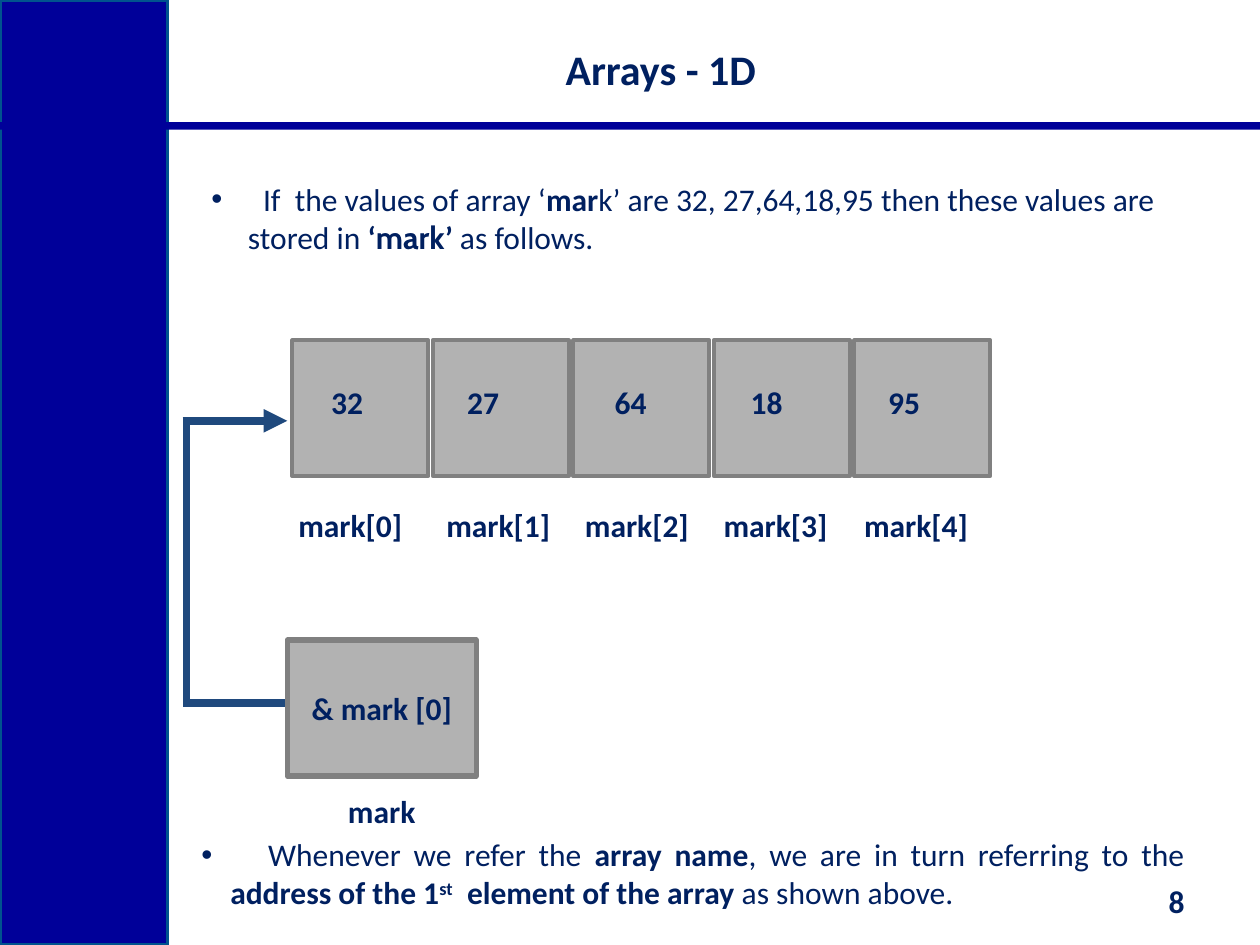
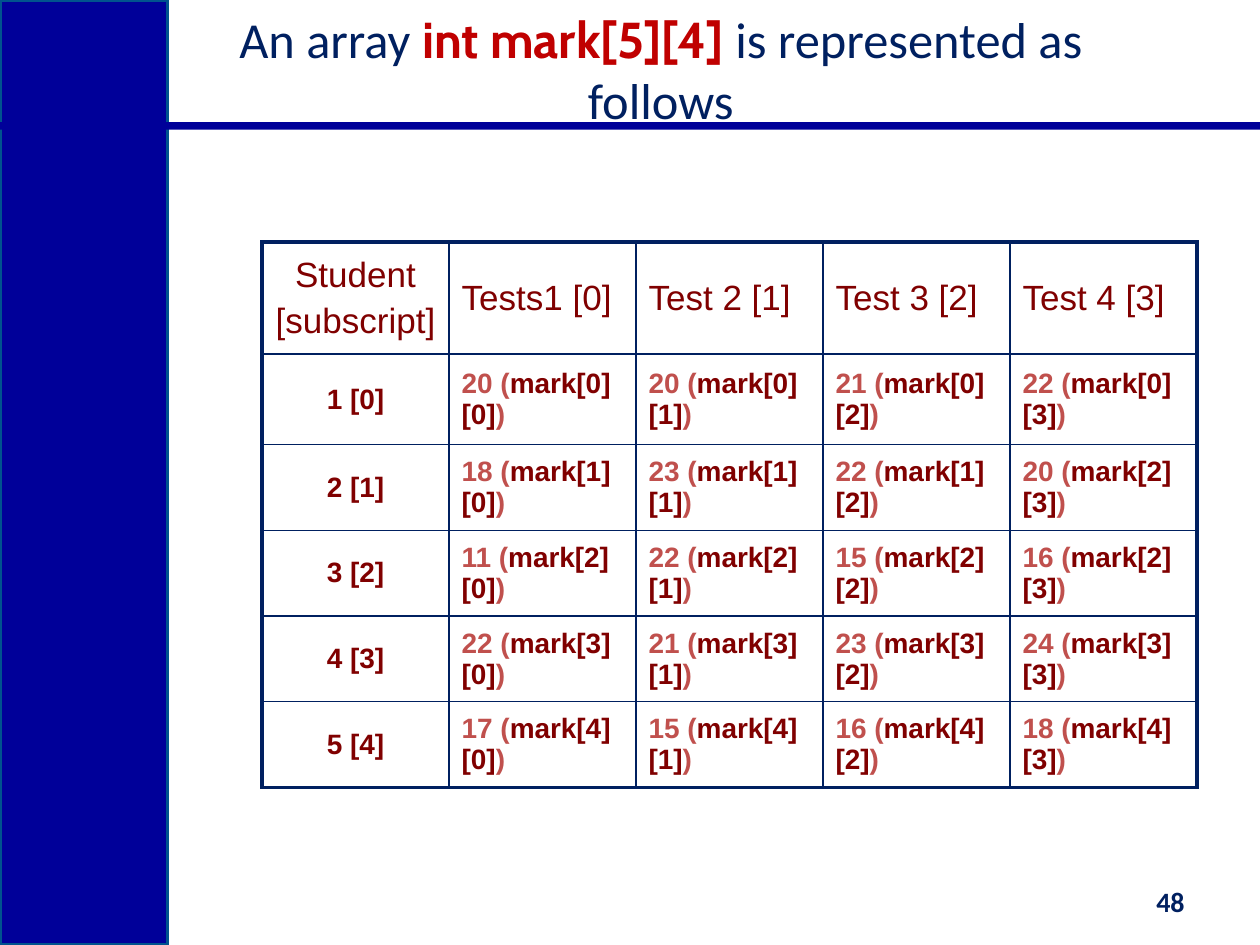
from lxml.etree import SubElement
from pptx import Presentation
from pptx.dml.color import RGBColor
from pptx.enum.shapes import MSO_CONNECTOR, MSO_SHAPE
from pptx.enum.text import MSO_ANCHOR, PP_ALIGN
from pptx.oxml.ns import qn
from pptx.util import Inches, Pt

NAVY, BAND, BAND_EDGE = "002060", "000099", "00538E"
CELL_GREY, EDGE_GREY, ARROW = "B2B2B2", "808080", "1F497D"
MAROON, CORAL, RED = "800000", "C0504D", "C00000"
LEFT, CENTER, RIGHT, JUSTIFY = (PP_ALIGN.LEFT, PP_ALIGN.CENTER,
                                PP_ALIGN.RIGHT, PP_ALIGN.JUSTIFY)


def color(hex_string):
    return RGBColor.from_string(hex_string)


def set_font(font, size=None, name=None, tint=None, bold=None, raised=False):
    if size:
        font.size = Pt(size)
    if name:
        font.name = name
    if tint:
        font.color.rgb = color(tint)
    if bold is not None:
        font.bold = bold
    if raised:
        font._element.set("baseline", "30000")


def write(para, spans, align=LEFT, size=18, name="Calibri", tint=NAVY, bold=False):
    """Fill a paragraph; spans is a string or a list of (text, font overrides)."""
    para.alignment = align
    set_font(para.font, size, name, tint, bold)
    if isinstance(spans, str):
        spans = [(spans, {})]
    for text, overrides in spans:
        span = para.add_run()
        span.text = text
        set_font(span.font, **overrides)


def indent(para, margin, first_line=0.0):
    properties = para._p.get_or_add_pPr()
    properties.set("marL", str(Inches(margin)))
    properties.set("indent", str(Inches(first_line)))
    return properties


def add_bullet(para, margin, tab=None):
    """Hang a bullet at the box edge; tab is an optional stop for the first line."""
    properties = indent(para, margin, -margin)
    parts = []
    bullet_color = SubElement(properties, qn("a:buClr"))
    SubElement(bullet_color, qn("a:srgbClr"), val=NAVY)
    parts.append(bullet_color)
    parts.append(SubElement(properties, qn("a:buFont"), typeface="Arial"))
    parts.append(SubElement(properties, qn("a:buChar"), char="•"))
    if tab:
        stops = SubElement(properties, qn("a:tabLst"))
        SubElement(stops, qn("a:tab"), pos=str(Inches(tab)), algn="l")
        parts.append(stops)
    defaults = properties.find(qn("a:defRPr"))
    if defaults is not None:
        for part in parts:
            defaults.addprevious(part)


def set_borders(cell, widths):
    """Draw the cell borders; widths holds points for left, right, top, bottom."""
    properties = cell._tc.get_or_add_tcPr()
    for side, width in zip("LRTB", widths):
        line = SubElement(properties, qn(f"a:ln{side}"), w=str(Pt(width)))
        fill = SubElement(line, qn("a:solidFill"))
        SubElement(fill, qn("a:srgbClr"), val=NAVY)


class Deck:
    def __init__(self):
        self.deck = Presentation()
        self.deck.slide_width, self.deck.slide_height = Inches(10), Inches(7.5)
        self.page = None

    def add_page(self, title, number, title_style, number_size):
        self.page = self.deck.slides.add_slide(self.deck.slide_layouts[6])
        self.rect(0, 0, 1.33, 7.5, BAND, BAND_EDGE, 2)
        self.rect(0, 0.97, 10, 0.06, BAND)
        self.text(1.33, 0.17, 7.83, 0.75, title, CENTER, MSO_ANCHOR.MIDDLE, **title_style)
        self.text(8.75, 6.95, 0.75, 0.4, number, RIGHT, MSO_ANCHOR.MIDDLE,
                  size=number_size, bold=True)

    def rect(self, left, top, width, height, fill, edge=None, weight=0):
        shape = self.page.shapes.add_shape(
            MSO_SHAPE.RECTANGLE, Inches(left), Inches(top), Inches(width), Inches(height))
        shape.shadow.inherit = False
        shape.fill.solid()
        shape.fill.fore_color.rgb = color(fill)
        if edge:
            shape.line.color.rgb = color(edge)
            shape.line.width = Pt(weight)
        else:
            shape.line.fill.background()
        return shape

    def text(self, left, top, width, height, spans, align=LEFT,
             anchor=MSO_ANCHOR.TOP, **style):
        """Add a one-paragraph text box and return its text frame."""
        box = self.page.shapes.add_textbox(
            Inches(left), Inches(top), Inches(width), Inches(height))
        frame = box.text_frame
        frame.word_wrap = True
        frame.vertical_anchor = anchor
        write(frame.paragraphs[0], spans, align, **style)
        return frame

    def line(self, start, end, arrow=False):
        connector = self.page.shapes.add_connector(
            MSO_CONNECTOR.STRAIGHT, *map(Inches, start + end))
        connector.line.color.rgb = color(ARROW)
        connector.line.width = Pt(4.5)
        if arrow:
            SubElement(connector.line._get_or_add_ln(), qn("a:tailEnd"), type="triangle")
        SubElement(connector._element.spPr, qn("a:effectLst"))

    def table(self, left, top, column_width, row_heights, rows):
        """Each cell is a list of paragraphs, each a (spans, style) pair."""
        row_count, column_count = len(rows), len(rows[0])
        table = self.page.shapes.add_table(
            row_count, column_count, Inches(left), Inches(top),
            Inches(column_width * column_count), Inches(sum(row_heights))).table
        table.first_row = table.horz_banding = False
        for column in table.columns:
            column.width = Inches(column_width)
        for r, cells in enumerate(rows):
            table.rows[r].height = Inches(row_heights[r])
            for c, paragraphs in enumerate(cells):
                cell = table.cell(r, c)
                outer = (c == 0, c == column_count - 1, r == 0, r == row_count - 1)
                set_borders(cell, [2.25 if edge else 1 for edge in outer])
                cell.fill.background()
                cell.vertical_anchor = MSO_ANCHOR.MIDDLE
                frame = cell.text_frame
                for i, (spans, style) in enumerate(paragraphs):
                    para = frame.add_paragraph() if i else frame.paragraphs[0]
                    write(para, spans, name="Arial", tint=MAROON, **style)
                    if i:
                        para.space_before = Pt(4)


def build_memory_page(deck):
    bold = {"bold": True}
    deck.add_page("Arrays - 1D", "8", {"size": 24, "bold": True}, 18)

    frame = deck.text(1.58, 1.38, 8, 0.71, [
        ("If  the values of array ‘", {}), ("mar", bold),
        ("k’ are 32, 27,64,18,95 then these values are", {})], JUSTIFY)
    add_bullet(frame.paragraphs[0], 0.41)
    para = frame.add_paragraph()
    write(para, [("stored in ", {}), ("‘", bold), ("mark", {"name": "Cabin", "bold": True}),
                 ("’ ", bold), ("as follows.", {})], JUSTIFY)
    indent(para, 0.29)

    # value, left of value, left and width of label
    elements = [("32", 2.53, 2.21, 1.14), ("27", 3.61, 3.42, 1.07), ("64", 4.78, 4.5, 1.11),
                ("18", 5.86, 5.58, 1.15), ("95", 6.95, 6.67, 1.2)]
    for i, (value, value_left, label_left, label_width) in enumerate(elements):
        deck.rect(2.32 + 1.115 * i, 2.7, 1.08, 1.08, CELL_GREY, EDGE_GREY, 2.25)
        deck.text(value_left, 2.99, 0.75, 0.4, value, bold=True)
        deck.text(label_left, 3.97, label_width, 0.4, f"mark[{i}]", CENTER, bold=True)

    deck.line((2.28, 5.58), (1.45, 5.58))
    deck.line((1.48, 5.58), (1.48, 3.33))
    deck.line((1.45, 3.34), (2.28, 3.34), arrow=True)
    pointer = deck.rect(2.28, 5.08, 1.5, 1.08, CELL_GREY, EDGE_GREY, 3).text_frame
    pointer.word_wrap = False
    pointer.vertical_anchor = MSO_ANCHOR.MIDDLE
    write(pointer.paragraphs[0], "& mark [0]", CENTER, bold=True)
    deck.text(2.53, 6.24, 1, 0.4, "mark", CENTER, bold=True)

    frame = deck.text(1.5, 6.58, 8, 0.71, [
        ("\tWhenever we refer the ", {}), ("array name", bold),
        (", we are in turn referring to the ", {}), ("address of the 1", bold),
        ("st", {"bold": True, "raised": True}), ("  element of the array ", bold),
        ("as shown above.", {})], JUSTIFY)
    add_bullet(frame.paragraphs[0], 0.23, tab=0.53)


def build_table_page(deck):
    deck.add_page([("An array ", {}),
                   ("int mark[5][4] ", {"name": "Cabin", "tint": RED, "bold": True}),
                   ("is represented as follows", {})], "48", {"size": 28.8}, 16)

    head = {"size": 20}
    centered_head = {"size": 20, "align": CENTER}
    body = {"size": 16, "bold": True}
    tests = ["Tests1 [0]", "Test 2 [1]", "Test 3 [2]", "Test 4 [3]"]
    marks = [[20, 20, 21, 22], [18, 23, 22, 20], [11, 22, 15, 16],
             [22, 21, 23, 24], [17, 15, 16, 18]]
    unusual_labels = {(1, 3): "mark[2][3]"}

    rows = [[[("Student", centered_head), ("[subscript]", centered_head)]]
            + [[(test, head)] for test in tests]]
    for student, scores in enumerate(marks):
        row = [[(f"{student + 1} [{student}]", {**body, "align": CENTER})]]
        for test, score in enumerate(scores):
            label = unusual_labels.get((student, test), f"mark[{student}][{test}]")
            row.append([([(f"{score} (", {"tint": CORAL}), (label, {}),
                          (")", {"tint": CORAL})], body)])
        rows.append(row)
    deck.table(2.08, 1.92, 1.484, [0.89, 0.72] + [0.68] * 4, rows)


def main():
    deck = Deck()
    build_memory_page(deck)
    build_table_page(deck)
    deck.deck.save("out.pptx")


if __name__ == "__main__":
    main()
